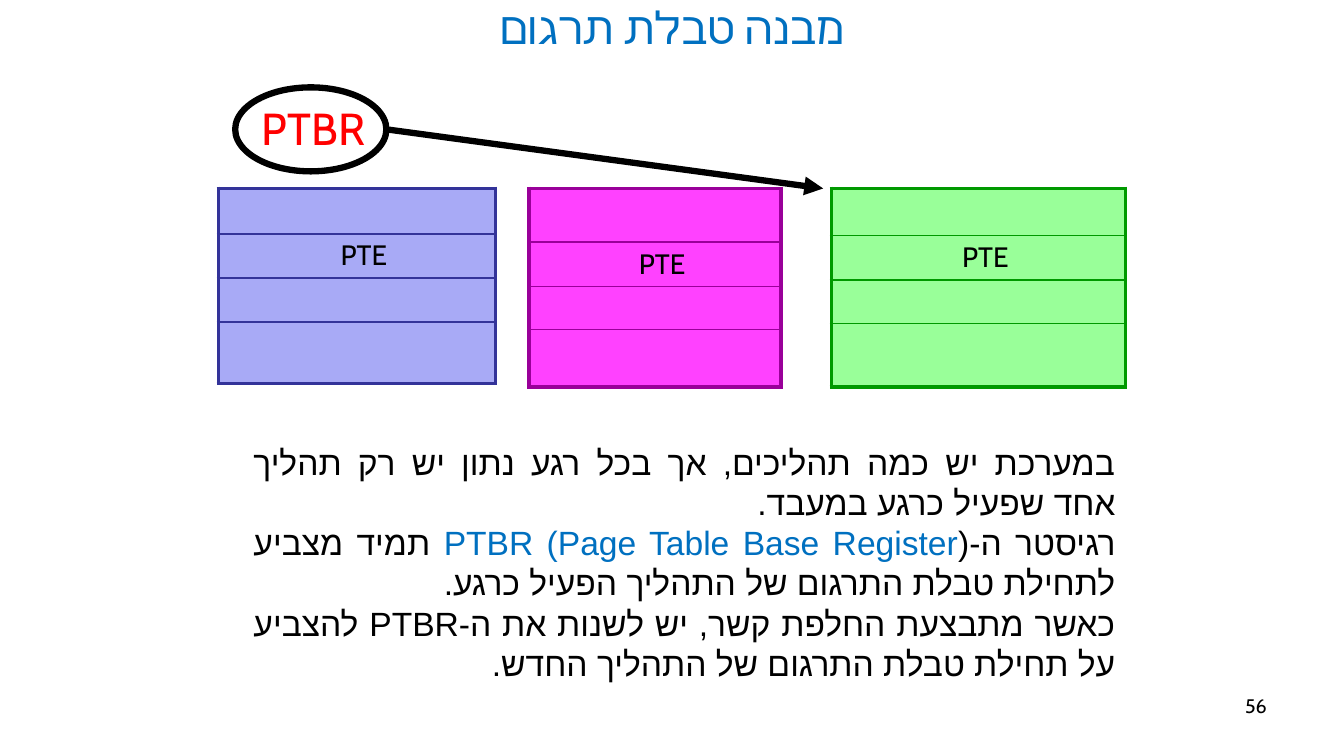
"""Build the slide on the structure of a page translation table."""
from lxml.etree import SubElement
from pptx import Presentation
from pptx.dml.color import RGBColor
from pptx.enum.shapes import MSO_CONNECTOR as Connector, MSO_SHAPE as Preset
from pptx.enum.text import MSO_ANCHOR as Anchor, MSO_AUTO_SIZE as AutoSize, PP_ALIGN as Align
from pptx.oxml import parse_xml
from pptx.oxml.ns import nsdecls, qn
from pptx.util import Pt

COLORS = {
    "black": "000000", "blue": "0070C0", "red": "FF0000",
    "lilac": "A8AAF6", "navy": "333399",
    "magenta": "FF41FF", "purple": "990099",
    "mint": "99FF99", "green": "009900",
}
TABLE_TOP = 134.64
PAGE_TABLES = [
    (156, 198, (32.4, 31.2, 31.2, 44), "lilac", "navy", 1.5),
    (378, 180, (38.2, 31.2, 31.2, 41), "magenta", "purple", 1),
    (594, 210, (33.8, 31.2, 31.2, 45.4), "mint", "green", 1),
]
EXPLANATION = [
    [("במערכת יש כמה תהליכים, אך בכל רגע נתון יש רק תהליך אחד שפעיל כרגע במעבד.", "black")],
    [("רגיסטר ה-", "black"),
     ("PTBR (Page Table Base Register", "blue"),
     (") תמיד מצביע לתחילת טבלת התרגום של התהליך הפעיל כרגע.", "black")],
    [("כאשר מתבצעת החלפת קשר, יש לשנות את ה-PTBR להצביע על תחילת טבלת התרגום של התהליך החדש.", "black")],
]


def rgb(name):
    return RGBColor.from_string(COLORS[name])


def write(paragraph, text, size, color="black", font="Cabin", align=Align.LEFT, rtl=False):
    paragraph.alignment = align
    if rtl:
        paragraph._p.get_or_add_pPr().set("rtl", "1")
    run = paragraph.add_run()
    run.text = text
    run.font.size = Pt(size)
    run.font.name = font
    run.font.color.rgb = rgb(color)
    SubElement(run._r.get_or_add_rPr(), qn("a:cs"), typeface=font)


def place(shape, left, top, width, height):
    shape.left, shape.top, shape.width, shape.height = map(Pt, (left, top, width, height))


def add_frame(slide, left, top, width, height, anchor=Anchor.TOP):
    frame = slide.shapes.add_textbox(*map(Pt, (left, top, width, height))).text_frame
    frame.word_wrap = True
    frame.vertical_anchor = anchor
    return frame


def add_title(slide, text):
    title = slide.shapes.title
    place(title, 156, 0, 648, 38.16)
    frame = title.text_frame
    frame.auto_size = AutoSize.NONE
    frame.vertical_anchor = Anchor.MIDDLE
    write(frame.paragraphs[0], text, 32, color="blue", align=Align.CENTER, rtl=True)


def set_borders(cell, color, widths):
    properties = cell._tc.get_or_add_tcPr()
    for position, (side, width) in enumerate(zip("LRTB", widths)):
        border = parse_xml(
            f'<a:ln{side} {nsdecls("a")} w="{Pt(width)}"><a:solidFill>'
            f'<a:srgbClr val="{COLORS[color]}"/></a:solidFill></a:ln{side}>')
        properties.insert(position, border)


def add_page_table(slide, left, width, heights, fill, edge, inner):
    bounds = map(Pt, (left, TABLE_TOP, width, sum(heights)))
    table = slide.shapes.add_table(len(heights), 1, *bounds).table
    table.first_row = table.horz_banding = False
    last = len(heights) - 1
    for index, height in enumerate(heights):
        table.rows[index].height = Pt(height)
        cell = table.cell(index, 0)
        cell.fill.solid()
        cell.fill.fore_color.rgb = rgb(fill)
        top = 3 if index == 0 else inner
        bottom = 3 if index == last else inner
        set_borders(cell, edge, (3, 3, top, bottom))
    entry = table.cell(1, 0)
    entry.margin_left = Pt(17)
    write(entry.text_frame.paragraphs[0], "PTE", 20, align=Align.CENTER, rtl=True)


def add_explanation(slide):
    frame = add_frame(slide, 174, 311, 630, 181.4, anchor=Anchor.MIDDLE)
    for index, parts in enumerate(EXPLANATION):
        paragraph = frame.add_paragraph() if index else frame.paragraphs[0]
        for text, color in parts:
            write(paragraph, text, 24, color=color, font="Arial", align=Align.JUSTIFY, rtl=True)


def add_pointer(slide, start, end):
    pointer = slide.shapes.add_connector(Connector.STRAIGHT, *map(Pt, start + end))
    pointer.line.width = Pt(4.5)
    pointer.line.color.rgb = rgb("black")
    SubElement(pointer.line._get_or_add_ln(), qn("a:tailEnd"), type="triangle")
    SubElement(pointer._element.spPr, qn("a:effectLst"))


def add_ring(slide, left, top, width, height):
    ring = slide.shapes.add_shape(Preset.OVAL, *map(Pt, (left, top, width, height)))
    ring.shadow.inherit = False
    ring.fill.background()
    ring.line.width = Pt(4.5)
    ring.line.color.rgb = rgb("black")


def main():
    deck = Presentation()
    deck.slide_width, deck.slide_height = Pt(960), Pt(540)
    slide = deck.slides.add_slide(deck.slide_layouts[5])
    add_title(slide, "מבנה טבלת תרגום")
    for page_table in PAGE_TABLES:
        add_page_table(slide, *page_table)
    add_explanation(slide)
    register = add_frame(slide, 180, 68.4, 96, 45.4)
    write(register.paragraphs[0], "PTBR", 32, color="red")
    add_pointer(slide, (276, 92.4), (588, 134.64))
    add_ring(slide, 168, 62.4, 108, 60)
    number = add_frame(slide, 688, 492, 224, 37.4)
    write(number.paragraphs[0], "56", 14, align=Align.RIGHT)
    deck.save("out.pptx")


if __name__ == "__main__":
    main()
